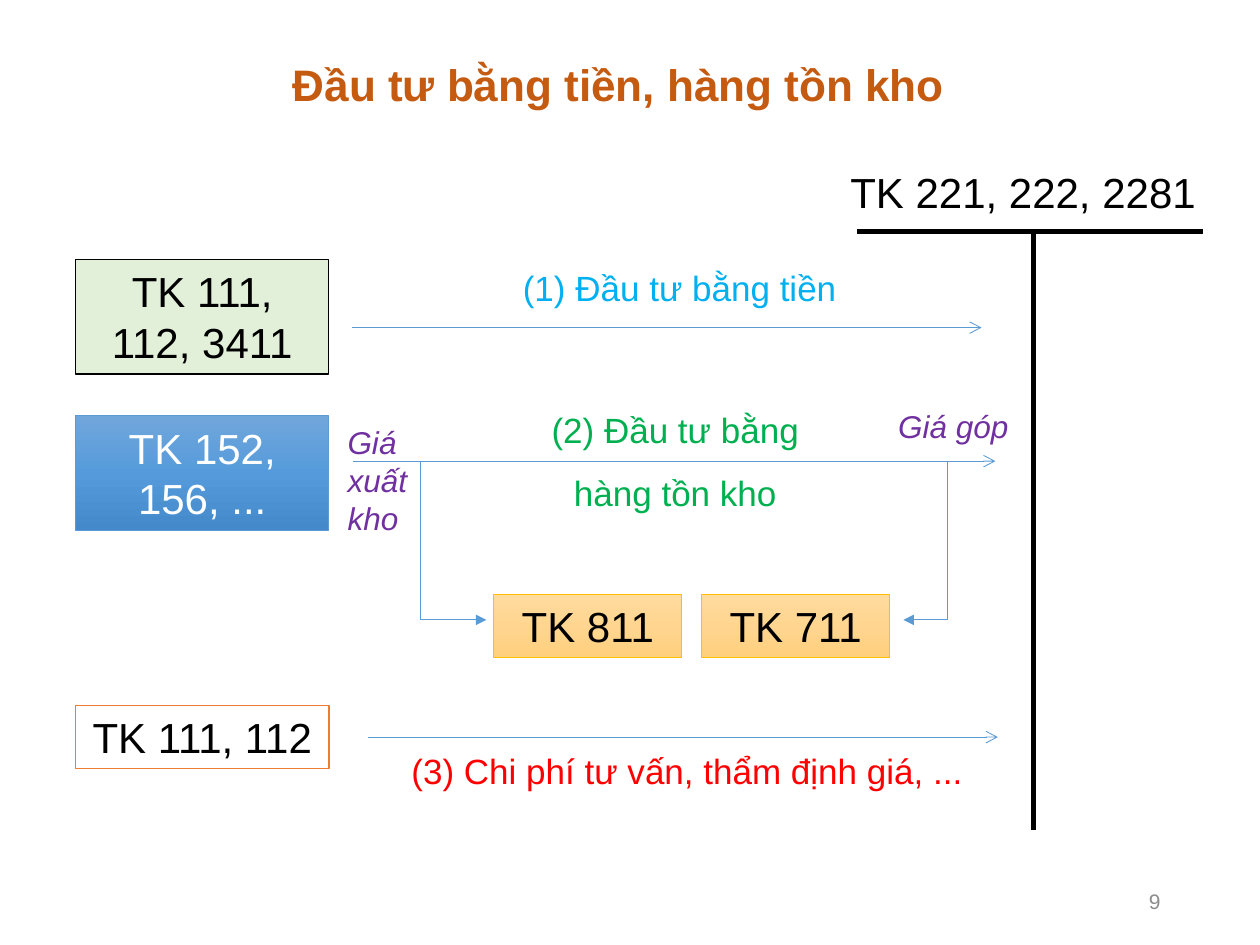
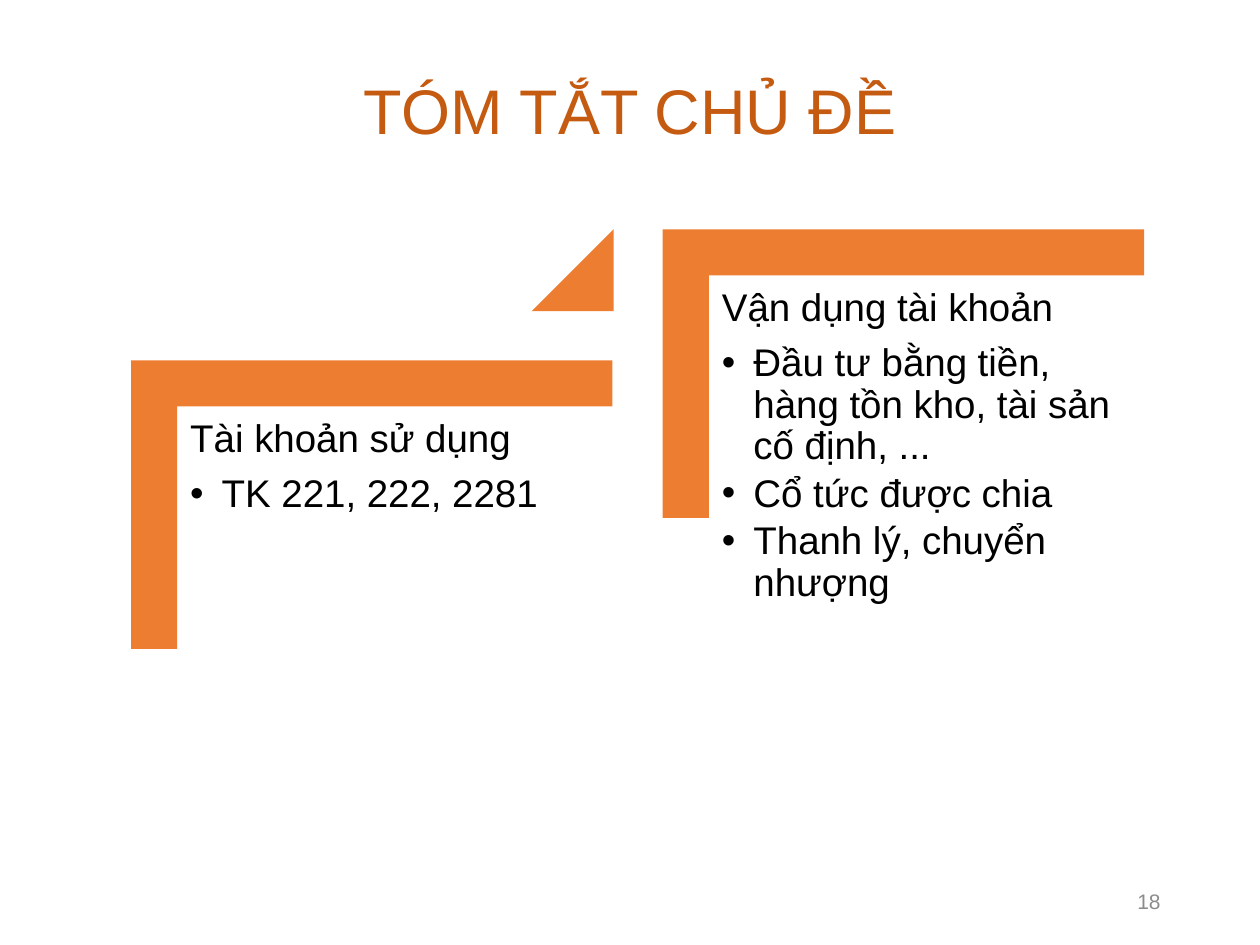
"""Build two slides on investment accounts: an entry diagram and a summary."""
from copy import deepcopy
from lxml.etree import SubElement
from pptx import Presentation
from pptx.dml.color import RGBColor
from pptx.enum.shapes import MSO_CONNECTOR as Link, MSO_SHAPE as Kind
from pptx.enum.text import MSO_ANCHOR as Anchor, MSO_AUTO_SIZE as Fit, PP_ALIGN as Align
from pptx.oxml.ns import qn
from pptx.util import Inches, Pt

COLS, ROWS = 100, 75
WIDE, HIGH = Inches(10), Inches(7.5)
FONT = "Arial"
BLACK, WHITE, GRAY = "000000", "FFFFFF", "8C8C8C"
RUST, ORANGE, BLUE, GOLD = "C55A11", "ED7D31", "5B9BD5", "FFC000"
SKY, GREEN, RED, PLUM, MINT = "00B0F0", "00B050", "FF0000", "7030A0", "E2F0D9"
BLUES = ("71A6DB", "559BDB", "448ACA")
GOLDS = ("FFDB9E", "FFD590", "FFD07C")


def tint(code):
    return RGBColor.from_string(code)


def write(frame, text, size=24, color=BLACK, bold=False, italic=False, align=Align.LEFT,
          lead=1.0, anchor=Anchor.TOP, wrap=True, inset=None, after=0, bullets=None):
    frame.word_wrap, frame.auto_size, frame.vertical_anchor = wrap, Fit.NONE, anchor
    if inset is not None:
        frame.margin_left = frame.margin_right = Inches(inset)
        frame.margin_top = frame.margin_bottom = Inches(inset)
    for i, line in enumerate([text, *(bullets or [])]):
        para = frame.paragraphs[0] if i == 0 else frame.add_paragraph()
        para.alignment, para.line_spacing = align, lead
        para.space_before, para.space_after = Pt(0), Pt(after)
        if i:
            para.space_after = Pt(0.15 * size)
            para.level = 1
            props = para._p.get_or_add_pPr()
            props.set("marL", str(Inches(0.25)))
            props.set("indent", str(-Inches(0.25)))
            SubElement(props, qn("a:buFont")).set("typeface", FONT)
            SubElement(props, qn("a:buChar")).set("char", "•")
        run = para.add_run()
        run.text = line
        font = run.font
        font.name, font.size, font.bold, font.italic = FONT, Pt(size), bold, italic
        font.color.rgb = tint(color)


class Deck:
    """Hold the grid, the shared style and the current slide."""

    def __init__(self):
        self.file = Presentation()
        self.file.slide_width, self.file.slide_height = WIDE, HIGH

    def spot(self, *nums):
        units = (WIDE / COLS, HIGH / ROWS)
        return [round(n * units[i % 2]) for i, n in enumerate(nums)]

    def page(self, title, box, number, **style):
        self.slide = self.file.slides.add_slide(self.file.slide_layouts[5])
        head = self.slide.shapes.title
        head.left, head.top, head.width, head.height = self.spot(*box)
        write(head.text_frame, title, color=RUST, align=Align.CENTER,
              anchor=Anchor.MIDDLE, **style)
        self.text(number, (70.6, 69.5, 22.5, 4), size=12, color=GRAY,
                  align=Align.RIGHT, anchor=Anchor.MIDDLE)

    def text(self, words, box, **style):
        area = self.slide.shapes.add_textbox(*self.spot(*box))
        write(area.text_frame, words, **style)

    def shape(self, kind, box, fill, line=None, weight=0.5, turn=0, adjust=()):
        item = self.slide.shapes.add_shape(kind, *self.spot(*box))
        item.shadow.inherit = False
        item.rotation = turn
        for i, share in enumerate(adjust):
            item.adjustments[i] = share
        if isinstance(fill, str):
            item.fill.solid()
            item.fill.fore_color.rgb = tint(fill)
        else:
            self.blend(item, fill)
        if line:
            item.line.color.rgb = tint(line)
            item.line.width = Pt(weight)
        else:
            item.line.fill.background()
        return item

    def blend(self, item, codes):
        item.fill.gradient()
        item.fill.gradient_angle = 270
        stops = item._element.spPr.find(".//" + qn("a:gsLst"))
        stops.insert(1, deepcopy(stops[0]))
        for i, (stop, code) in enumerate(zip(item.fill.gradient_stops, codes)):
            stop.position = i / 2
            stop.color.rgb = tint(code)

    def account(self, words, box, fill, line, weight=0.5, color=BLACK):
        item = self.shape(Kind.RECTANGLE, box, fill, line, weight)
        write(item.text_frame, words, color=color, align=Align.CENTER)

    def line(self, start, end, color=BLUE, weight=0.5, tip=None):
        item = self.slide.shapes.add_connector(Link.STRAIGHT, *self.spot(*start, *end))
        item.line.color.rgb = tint(color)
        item.line.width = Pt(weight)
        if tip:
            SubElement(item.line._get_or_add_ln(), qn("a:tailEnd")).set("type", tip)
        SubElement(item._element.spPr, qn("a:effectLst"))

    def corner(self, left, top, title, points):
        wide, high = 38.2, 22.9
        shift = (wide - high) / 2
        self.shape(Kind.CORNER, (left + shift, top - shift, high, wide), ORANGE,
                   turn=90, adjust=(0.16, 0.16))
        self.text(title, (left + 3.8, top + 3.8, 34.4, 30.2), size=22, lead=0.9,
                  inset=0.09, after=7.7, bullets=points)


def entries(deck):
    deck.page("Đầu tư bằng tiền, hàng tồn kho", (6, 2.1, 86.2, 7), "9",
              size=25.2, bold=True, lead=1.5)
    deck.text("TK 221, 222, 2281", (65.6, 12.7, 31.2, 5), align=Align.CENTER)
    for start, end in (((82, 18.4), (82, 65.9)), ((68, 18.4), (95.5, 18.4))):
        deck.line(start, end, BLACK, 2.75)

    left, wide = 6, 20.1
    deck.account("TK 111, 112, 3411", (left, 20.6, wide, 9.1), MINT, BLACK, 0.75)
    deck.account("TK 152, 156, ...", (left, 33, wide, 9.1), BLUES, BLUE, color=WHITE)
    deck.account("TK 111, 112", (left, 56, wide, 5), WHITE, ORANGE, 1)
    for name, col in (("TK 811", 39.2), ("TK 711", 55.7)):
        deck.account(name, (col, 47.2, 14.9, 5), GOLDS, GOLD)

    for col, end, row in ((27.9, 77.9, 26), (28, 79, 36.6), (29.2, 79.2, 58.5)):
        deck.line((col, row), (end, row), tip="arrow")
    for col, end in ((33.4, 38.6), (75.2, 71.7)):
        deck.line((col, 36.6), (col, 49.2))
        deck.line((col, 49.2), (end, 49.2), tip="triangle")

    for words, box, color in (
            ("(1) Đầu tư bằng tiền", (39.4, 19, 29.1, 6.1), SKY),
            ("(2) Đầu tư bằng hàng tồn kho", (39.9, 30.3, 27.4, 11.1), GREEN),
            ("(3) Chi phí tư vấn, thẩm định giá, ...", (30.4, 57.3, 48.3, 6.1), RED)):
        deck.text(words, box, size=20, color=color, align=Align.CENTER, lead=1.5)
    for words, box, wrap in (("Giá xuất kho", (26.6, 33.1, 7.8, 10.1), True),
                             ("Giá góp", (70.3, 31.8, 10.9, 4), False)):
        deck.text(words, box, size=18, color=PLUM, italic=True, wrap=wrap)


def summary(deck):
    deck.page("TÓM TẮT CHỦ ĐỀ", (6.9, 4, 86.2, 10.1), "18", size=36, lead=0.9)
    deck.corner(10.4, 28.6, "Tài khoản sử dụng", ["TK 221, 222, 2281"])
    deck.shape(Kind.ISOSCELES_TRIANGLE, (42.2, 18.2, 6.5, 6.5), ORANGE, adjust=(1,))
    deck.corner(52.6, 18.2, "Vận dụng tài khoản", [
        "Đầu tư bằng tiền, hàng tồn kho, tài sản cố định, ...",
        "Cổ tức được chia",
        "Thanh lý, chuyển nhượng"])


def main():
    deck = Deck()
    entries(deck)
    summary(deck)
    deck.file.save("out.pptx")


if __name__ == "__main__":
    main()
